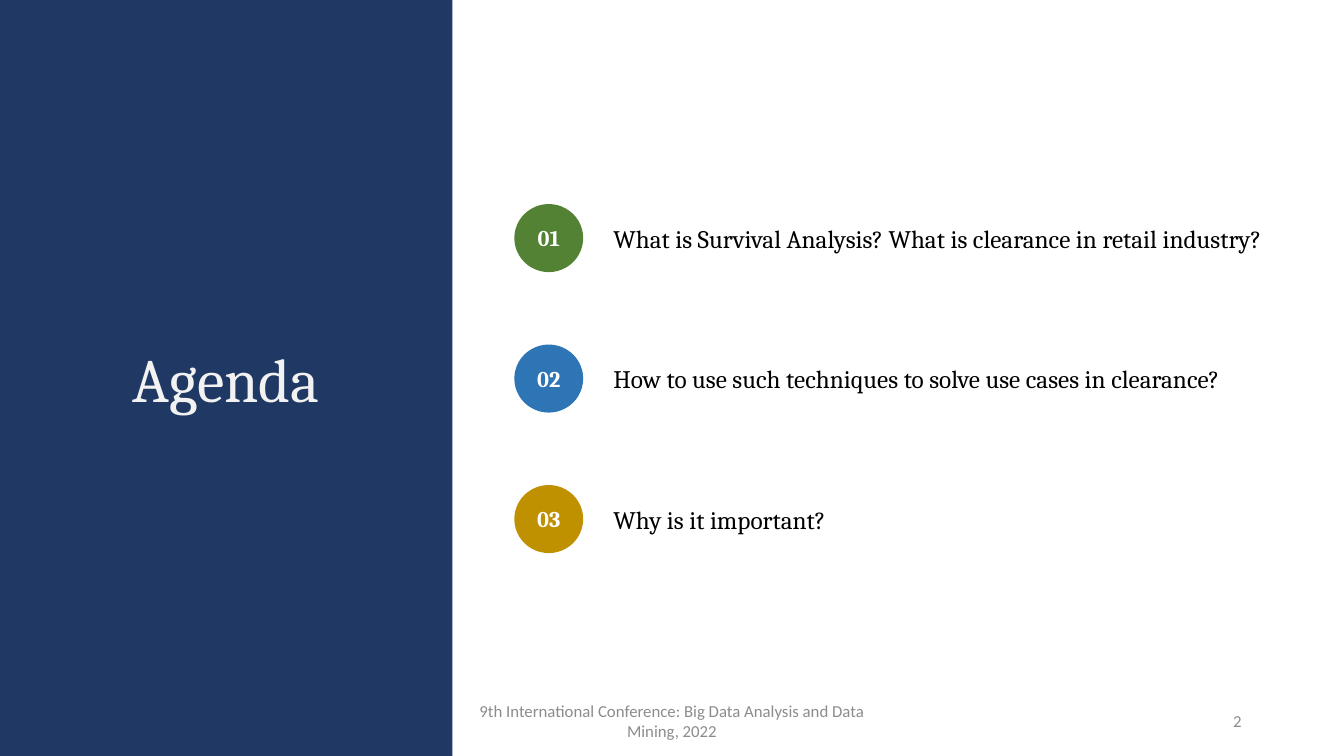
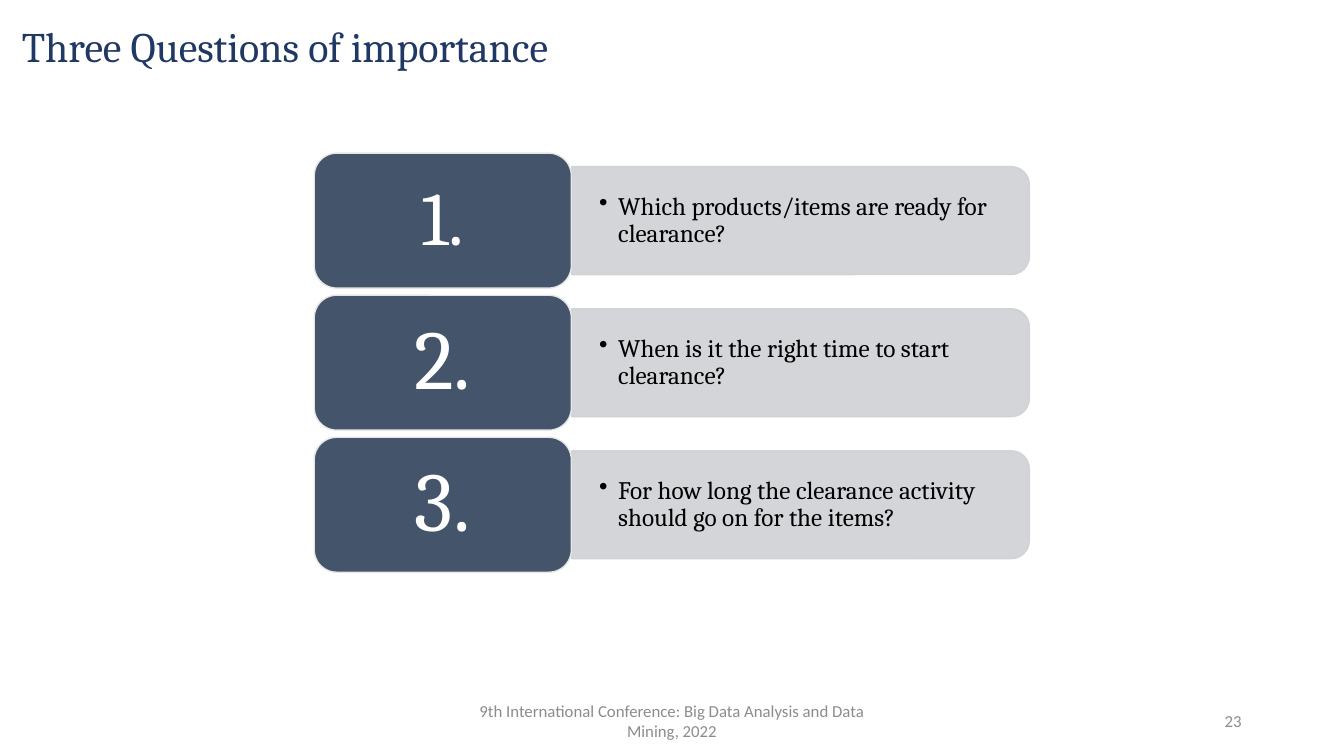
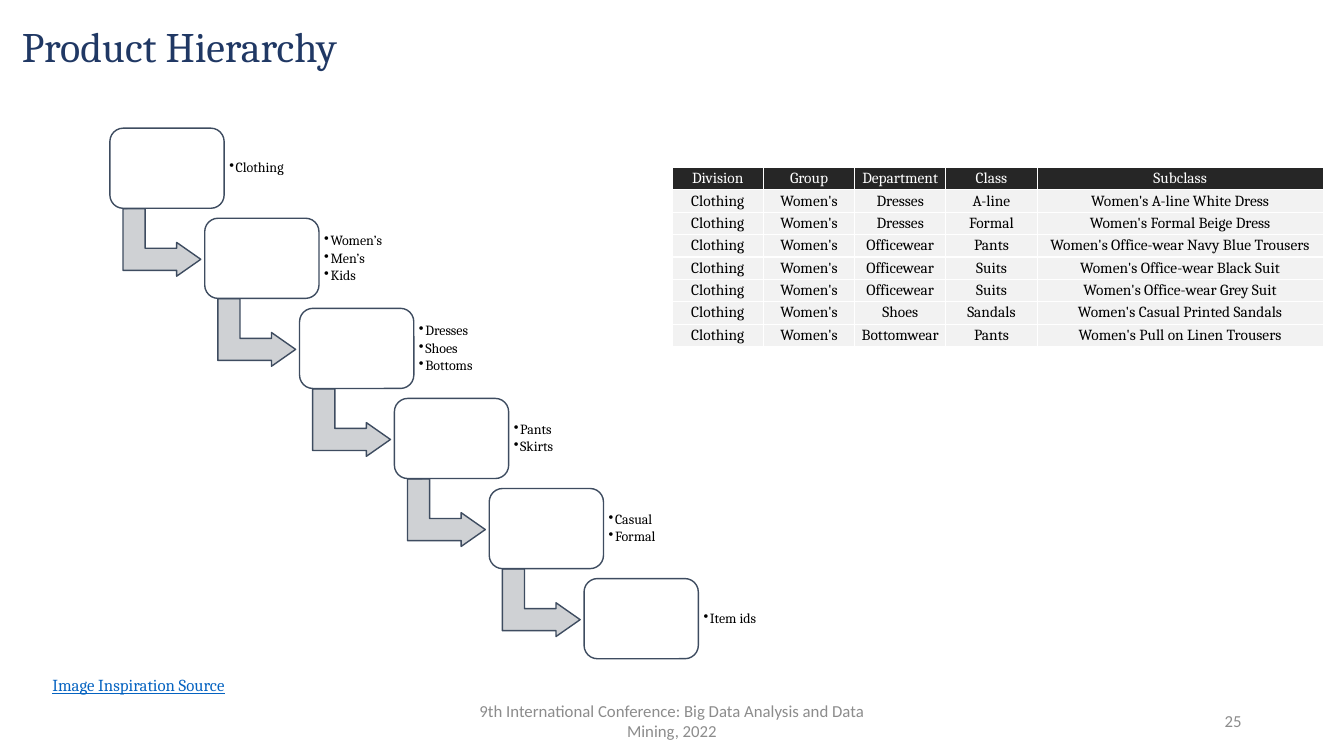
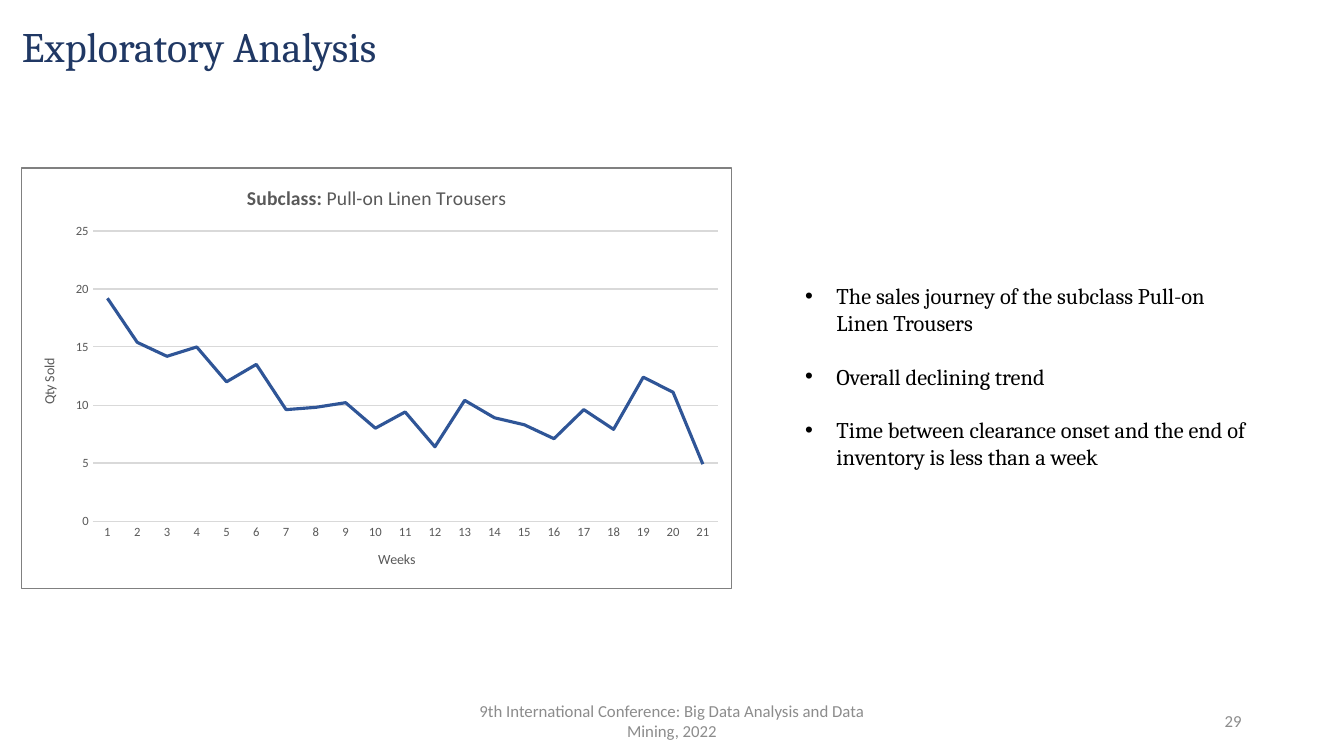
from dataclasses import dataclass

from lxml.etree import SubElement
from pptx import Presentation
from pptx.chart.data import CategoryChartData
from pptx.dml.color import RGBColor
from pptx.enum.chart import XL_CHART_TYPE, XL_TICK_MARK
from pptx.enum.shapes import MSO_SHAPE
from pptx.enum.text import MSO_ANCHOR, MSO_AUTO_SIZE, PP_ALIGN
from pptx.oxml import parse_xml
from pptx.oxml.ns import nsdecls, qn
from pptx.util import Cm, Pt


@dataclass(frozen=True)
class Theme:
    serif: str = "Cambria"
    sans: str = "Calibri"
    navy: str = "203864"
    slate: str = "44546A"
    outline: str = "3E4C60"
    silver: str = "CFD1D4"
    tile_edge: str = "E7E6E6"
    pale: str = "F2F2F2"
    header: str = "262626"
    muted: str = "8C8C8C"
    axis: str = "595959"
    grid: str = "D9D9D9"
    frame: str = "808080"
    series: str = "2F5597"
    link: str = "0563C1"
    white: str = "FFFFFF"
    black: str = "000000"
    panel_size: int = 44
    title_size: int = 30
    text_size: int = 18
    list_size: int = 16
    chart_title_size: int = 14
    small_size: int = 12
    table_size: int = 11
    label_size: int = 10
    tick_size: int = 9


T = Theme()

# Content
FOOTER = "9th International Conference: Big Data Analysis and Data Mining, 2022"
AGENDA = [
    ("01", "548235", "What is Survival Analysis? What is clearance in retail industry?"),
    ("02", "2E75B6", "How to use such techniques to solve use cases in clearance?"),
    ("03", "BF9000", "Why is it important?"),
]
QUESTIONS = [
    ("1.", 54, "Which products/items are ready for clearance?"),
    ("2.", 60, "When is it the right time to start clearance?"),
    ("3.", 60, "For how long the clearance activity should go on for the items?"),
]
HIERARCHY = [
    ["Clothing"],
    ["Women’s", "Men’s", "Kids"],
    ["Dresses", "Shoes", "Bottoms"],
    ["Pants", "Skirts"],
    ["Casual", "Formal"],
    ["Item ids"],
]
PRODUCT_HEADER = ("Division", "Group", "Department", "Class", "Subclass")
PRODUCTS = [
    ("Dresses", "A-line", "Women's A-line White Dress"),
    ("Dresses", "Formal", "Women's Formal Beige Dress"),
    ("Officewear", "Pants", "Women's Office-wear Navy Blue Trousers"),
    ("Officewear", "Suits", "Women's Office-wear Black Suit"),
    ("Officewear", "Suits", "Women's Office-wear Grey Suit"),
    ("Shoes", "Sandals", "Women's Casual Printed Sandals"),
    ("Bottomwear", "Pants", "Women's Pull on Linen Trousers"),
]
PRODUCT_ROWS = [PRODUCT_HEADER] + [("Clothing", "Women's") + row for row in PRODUCTS]
COLUMN_WIDTHS = (2.3, 2.3, 2.3, 2.3, 7.21)
WEEKLY_SALES = [19.2, 15.4, 14.2, 15, 12, 13.5, 9.6, 9.8, 10.2, 8, 9.4,
                6.4, 10.4, 8.9, 8.3, 7.1, 9.6, 7.9, 12.4, 11.1, 4.9]
FINDINGS = [
    "The sales journey of the subclass Pull-on Linen Trousers",
    "Overall declining trend",
    "Time between clearance onset and the end of inventory is less than a week",
]


# Shared helpers; every rectangle is (left, top, width, height) in cm
def rgb(colour):
    return RGBColor.from_string(colour)


def style_font(font, size, colour, face=T.serif, bold=False):
    font.size, font.name, font.bold = Pt(size), face, bold
    font.color.rgb = rgb(colour)


def write(paragraph, text, size, colour, align=PP_ALIGN.LEFT, **font):
    run = paragraph.add_run()
    run.text = text
    style_font(run.font, size, colour, **font)
    paragraph.alignment = align
    return run


def set_frame(frame, anchor, inset_x=0.25, inset_y=0.13):
    frame.word_wrap = True
    frame.auto_size = MSO_AUTO_SIZE.NONE
    frame.vertical_anchor = anchor
    frame.margin_left = frame.margin_right = Cm(inset_x)
    frame.margin_top = frame.margin_bottom = Cm(inset_y)
    return frame


def text_box(slide, rect, anchor=MSO_ANCHOR.TOP, **insets):
    return set_frame(slide.shapes.add_textbox(*map(Cm, rect)).text_frame, anchor, **insets)


def draw(slide, kind, rect, fill, line, adjustments=()):
    shape = slide.shapes.add_shape(kind, *map(Cm, rect))
    shape.shadow.inherit = False
    shape.fill.solid()
    shape.fill.fore_color.rgb = rgb(fill)
    shape.line.color.rgb = rgb(line)
    shape.line.width = Pt(1)
    for index, value in enumerate(adjustments):
        shape.adjustments[index] = value
    return shape


def draw_turned(slide, kind, rect, fill, line, adjustments=()):
    """Draw a shape turned a quarter so that it covers rect."""
    left, top, width, height = rect
    shift = (width - height) / 2
    upright = (left + shift, top - shift, height, width)
    shape = draw(slide, kind, upright, fill, line, adjustments)
    shape.rotation = 90
    return shape


def bullet_list(frame, items, size, indent, line_spacing=1.0, gap=0):
    for index, item in enumerate(items):
        paragraph = frame.paragraphs[0] if index == 0 else frame.add_paragraph()
        properties = paragraph._p.get_or_add_pPr()
        properties.set("marL", str(Cm(indent)))
        properties.set("indent", str(-Cm(indent)))
        SubElement(properties, qn("a:buChar")).set("char", "•")
        paragraph.line_spacing = line_spacing
        paragraph.space_before = Pt(gap if index else 0)
        write(paragraph, item, size, T.black)


def place(placeholder, rect):
    (placeholder.left, placeholder.top,
     placeholder.width, placeholder.height) = map(Cm, rect)


def new_slide(deck, number, title, layout=5, panel=False):
    slide = deck.slides.add_slide(deck.slide_layouts[layout])
    heading = slide.shapes.title
    paragraph = heading.text_frame.paragraphs[0]
    if panel:
        place(heading, (0, 0, 11.4, 19.05))
        heading.fill.solid()
        heading.fill.fore_color.rgb = rgb(T.navy)
        set_frame(heading.text_frame, MSO_ANCHOR.MIDDLE)
        write(paragraph, title, T.panel_size, T.pale, PP_ALIGN.CENTER)
    else:
        place(heading, (0.3, 0.53, 29.21, 3.68))
        set_frame(heading.text_frame, MSO_ANCHOR.TOP)
        paragraph.line_spacing = 0.9
        write(paragraph, title, T.title_size, T.navy)
    for text, left, width, align in (
        (FOOTER, 11.22, 11.43, PP_ALIGN.CENTER),
        (str(number), 23.92, 7.62, PP_ALIGN.RIGHT),
    ):
        frame = text_box(slide, (left, 17.66, width, 1.01), MSO_ANCHOR.MIDDLE)
        write(frame.paragraphs[0], text, T.small_size, T.muted, align, face=T.sans)
    return slide


# Slides
def agenda_slide(deck):
    slide = new_slide(deck, 2, "Agenda", panel=True)
    for index, (number, colour, topic) in enumerate(AGENDA):
        top = 5.16 + index * 3.54
        badge = draw(slide, MSO_SHAPE.OVAL, (12.98, top, 1.7, 1.68), colour, colour)
        frame = set_frame(badge.text_frame, MSO_ANCHOR.MIDDLE, 0, 0)
        write(frame.paragraphs[0], number, T.list_size, T.white, PP_ALIGN.CENTER, bold=True)
        frame = text_box(slide, (15.21, top + 0.33, 17.65, 1.01))
        write(frame.paragraphs[0], topic, T.text_size, T.black)


def questions_slide(deck):
    slide = new_slide(deck, 23, "Three Questions of importance")
    for index, (number, size, question) in enumerate(QUESTIONS):
        top = 3.86 + index * 3.58
        bar_rect = (14.41, top + 0.34, 11.53, 2.72)
        bar = draw_turned(slide, MSO_SHAPE.ROUND_2_SAME_RECTANGLE, bar_rect, T.silver, T.silver)
        for colour in bar._element.spPr.iter(qn("a:srgbClr")):
            SubElement(colour, qn("a:alpha")).set("val", "90000")
        frame = text_box(slide, bar_rect, MSO_ANCHOR.MIDDLE, inset_x=0.69, inset_y=0.36)
        bullet_list(frame, [question], T.text_size, 0.48, 0.9)
        tile = draw(slide, MSO_SHAPE.ROUNDED_RECTANGLE, (7.92, top, 6.48, 3.4),
                    T.slate, T.tile_edge)
        frame = set_frame(tile.text_frame, MSO_ANCHOR.MIDDLE)
        frame.paragraphs[0].line_spacing = 0.9
        write(frame.paragraphs[0], number, size, T.white, PP_ALIGN.CENTER)


def hierarchy_slide(deck):
    slide = new_slide(deck, 25, "Product Hierarchy")
    # Staircase of levels
    for index, examples in enumerate(HIERARCHY):
        left, top = 2.77 + index * 2.39, 3.23 + index * 2.27
        if index < len(HIERARCHY) - 1:
            draw_turned(slide, MSO_SHAPE.BENT_UP_ARROW, (left + 0.33, top + 2.03, 1.96, 1.7),
                        T.silver, T.outline, (0.328, 0.25, 0.358))
        draw(slide, MSO_SHAPE.ROUNDED_RECTANGLE, (left, top, 2.88, 2.02),
             T.white, T.outline, (0.167,))
        frame = text_box(slide, (left + 2.88, top + 0.2, 2.08, 1.63),
                         MSO_ANCHOR.MIDDLE, inset_x=0.13)
        bullet_list(frame, examples, T.label_size, 0.16, 0.9, gap=1.5)

    credit = text_box(slide, (1.07, 16.87, 5.08, 0.79))
    write(credit.paragraphs[0], "Image Inspiration Source",
          T.small_size, T.link).font.underline = True

    # Product table
    rect = (16.94, 4.22, sum(COLUMN_WIDTHS), 4.52)
    table = slide.shapes.add_table(len(PRODUCT_ROWS), len(COLUMN_WIDTHS), *map(Cm, rect)).table
    table.first_row = table.horz_banding = False
    for column, width in zip(table.columns, COLUMN_WIDTHS):
        column.width = Cm(width)
    for row, values in enumerate(PRODUCT_ROWS):
        fill, colour = (T.pale, T.black) if row else (T.header, T.white)
        for column, value in enumerate(values):
            cell = table.cell(row, column)
            cell.fill.solid()
            cell.fill.fore_color.rgb = rgb(fill)
            cell.vertical_anchor = MSO_ANCHOR.MIDDLE
            cell.margin_left = cell.margin_right = cell.margin_top = cell.margin_bottom = 0
            write(cell.text_frame.paragraphs[0], value, T.table_size, colour, PP_ALIGN.CENTER)


def style_axis(axis, title):
    axis.major_tick_mark = axis.minor_tick_mark = XL_TICK_MARK.NONE
    style_font(axis.tick_labels.font, T.tick_size, T.axis, T.sans)
    write(axis.axis_title.text_frame.paragraphs[0], title, T.label_size, T.axis,
          PP_ALIGN.CENTER, face=T.sans)


def sales_chart(slide):
    data = CategoryChartData()
    data.categories = [str(week + 1) for week in range(len(WEEKLY_SALES))]
    data.add_series("Series 1", WEEKLY_SALES)
    rect = map(Cm, (0.53, 4.22, 17.93, 10.62))
    chart = slide.shapes.add_chart(XL_CHART_TYPE.LINE, *rect, data).chart
    style_font(chart.font, T.label_size, T.black, T.sans)
    chart.has_legend = False
    heading = chart.chart_title.text_frame.paragraphs[0]
    for text, bold in (("Subclass:", True), (" Pull-on Linen Trousers", False)):
        write(heading, text, T.chart_title_size, T.axis, PP_ALIGN.CENTER,
              face=T.sans, bold=bold)

    weeks, quantity = chart.category_axis, chart.value_axis
    style_axis(weeks, "Weeks")
    style_axis(quantity, "Qty Sold")
    quantity.minimum_scale, quantity.maximum_scale, quantity.major_unit = 0, 25, 5
    quantity.format.line.fill.background()
    for line in (weeks.format.line, quantity.major_gridlines.format.line):
        line.color.rgb = rgb(T.grid)
        line.width = Pt(0.75)

    plot = chart.plots[0]
    plot.vary_by_categories = False
    sales = plot.series[0]
    sales.smooth = False
    sales.format.line.color.rgb = rgb(T.series)
    sales.format.line.width = Pt(2.25)

    # Chart border and plot position
    chart_part = chart.element.find(qn("c:chart"))
    chart_part.addnext(parse_xml(
        f'<c:spPr {nsdecls("c", "a")}>'
        f'<a:solidFill><a:srgbClr val="{T.white}"/></a:solidFill>'
        f'<a:ln w="{Pt(0.75)}"><a:solidFill><a:srgbClr val="{T.frame}"/></a:solidFill></a:ln>'
        '</c:spPr>'))
    plot_area = chart_part.find(qn("c:plotArea"))
    for layout in plot_area.findall(qn("c:layout")):
        plot_area.remove(layout)
    layout = parse_xml(f'<c:layout {nsdecls("c")}/>')
    manual = SubElement(layout, qn("c:manualLayout"))
    for tag, value in (("layoutTarget", "inner"), ("xMode", "edge"), ("yMode", "edge"),
                       ("x", "0.1"), ("y", "0.15"), ("w", "0.88"), ("h", "0.69")):
        SubElement(manual, qn("c:" + tag)).set("val", value)
    plot_area.insert(0, layout)


def analysis_slide(deck):
    slide = new_slide(deck, 29, "Exploratory Analysis", layout=1)
    sales_chart(slide)
    findings = slide.placeholders[1]
    place(findings, (20.04, 6.99, 11.76, 5.05))
    frame = set_frame(findings.text_frame, MSO_ANCHOR.TOP)
    bullet_list(frame, FINDINGS, T.list_size, 0.79, gap=19)


def main():
    deck = Presentation()
    deck.slide_width, deck.slide_height = Cm(33.87), Cm(19.05)
    for build in (agenda_slide, questions_slide, hierarchy_slide, analysis_slide):
        build(deck)
    deck.save("out.pptx")


if __name__ == "__main__":
    main()
